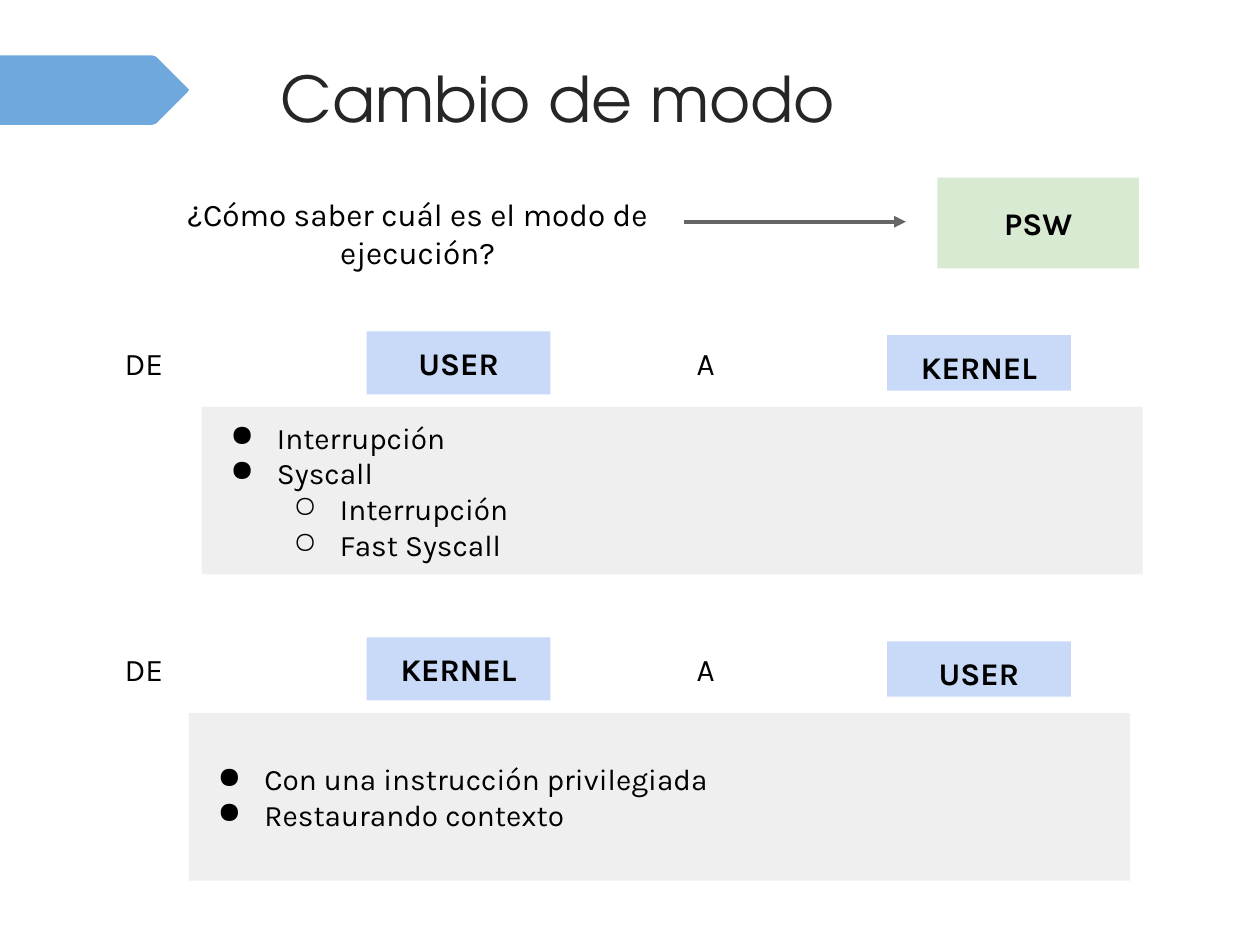
from lxml.etree import SubElement
from pptx import Presentation
from pptx.dml.color import RGBColor
from pptx.enum.shapes import MSO_CONNECTOR, MSO_SHAPE
from pptx.enum.text import MSO_ANCHOR, MSO_AUTO_SIZE, PP_ALIGN
from pptx.oxml.ns import qn
from pptx.util import Inches, Pt

TITLE = "Cambio de modo"
QUESTION = "¿Cómo saber cuál es el modo de ejecución?"
ANSWER = "PSW"
# Each switch: row top, source mode, target mode, panel left, (level, text) items
SWITCHES = [
    (2.63, "USER", "KERNEL", 1.6, [
        (0, "Interrupción"), (0, "Syscall"),
        (1, "Interrupción"), (1, "Fast Syscall")]),
    (5.06, "KERNEL", "USER", 1.5, [
        (0, "Con una instrucción privilegiada"),
        (0, "Restaurando contexto")]),
]
BULLETS = "●○"
BLUE, GREEN, GREY = "C9DAF8", "D9EAD3", "EFEFEF"
CELL_W, CELL_H = 1.46, 0.5
TAG_POINTS = [(0, 0.44), (1.21, 0.44), (1.24, 0.45), (1.49, 0.7), (1.5, 0.71),
              (1.49, 0.73), (1.24, 0.98), (1.21, 0.99), (0, 0.99)]


def rgb(color):
    return RGBColor.from_string(color)


def paint(sp, color):
    sp.shadow.inherit = False
    sp.fill.solid()
    sp.fill.fore_color.rgb = rgb(color)
    sp.line.fill.background()


def add_bullet(p, level):
    p.level = level
    pPr = p._p.get_or_add_pPr()
    pPr.set("marL", str(Inches(0.5 * (level + 1))))
    pPr.set("indent", str(Inches(-0.37)))
    color = SubElement(pPr, qn("a:buClr"))
    SubElement(color, qn("a:srgbClr")).set("val", "000000")
    SubElement(pPr, qn("a:buChar")).set("char", BULLETS[level])


def write(sp, items, size=18, font="Karla", color="000000", bold=False,
          align=PP_ALIGN.LEFT, anchor=MSO_ANCHOR.TOP, inset=0.1):
    """Fill a shape with a string, or with (level, text) bullet items."""
    tf = sp.text_frame
    tf.word_wrap = True
    tf.auto_size = MSO_AUTO_SIZE.NONE
    tf.vertical_anchor = anchor
    tf.margin_left = tf.margin_right = Inches(0.1)
    tf.margin_top = tf.margin_bottom = Inches(inset)
    if isinstance(items, str):
        items = [(None, items)]
    for i, (level, text) in enumerate(items):
        p = tf.add_paragraph() if i else tf.paragraphs[0]
        p.alignment = align
        if level is not None:
            add_bullet(p, level)
        r = p.add_run()
        r.text = text
        r.font.size, r.font.name, r.font.bold = Pt(size), font, bold
        r.font.color.rgb = rgb(color)


def add_label(s, text, x, y, w=CELL_W, h=CELL_H, **fmt):
    sp = s.shapes.add_textbox(Inches(x), Inches(y), Inches(w), Inches(h))
    write(sp, text, **fmt)


def add_box(s, items, fill, x, y, w=CELL_W, h=CELL_H, **fmt):
    sp = s.shapes.add_shape(MSO_SHAPE.RECTANGLE, Inches(x), Inches(y),
                            Inches(w), Inches(h))
    paint(sp, fill)
    write(sp, items, **fmt)


def add_tag(s):
    points = [(Inches(x), Inches(y)) for x, y in TAG_POINTS]
    builder = s.shapes.build_freeform(*points[0])
    builder.add_line_segments(points[1:])
    paint(builder.convert_to_shape(), "6FA8DC")


def add_arrow(s, x1, x2, y):
    line = s.shapes.add_connector(MSO_CONNECTOR.STRAIGHT, Inches(x1), Inches(y),
                                  Inches(x2), Inches(y))
    line.line.color.rgb = rgb("666666")
    line.line.width = Pt(2.25)
    SubElement(line.line._get_or_add_ln(), qn("a:tailEnd")).set("type", "triangle")
    SubElement(line._element.spPr, qn("a:effectLst"))


def main():
    prs = Presentation()
    prs.slide_width, prs.slide_height = Inches(10), Inches(7.5)
    s = prs.slides.add_slide(prs.slide_layouts[5])
    add_tag(s)

    title = s.shapes.title
    title.left, title.top = Inches(2.13), Inches(0.42)
    title.width, title.height = Inches(7.21), Inches(0.72)
    write(title, TITLE, size=36, font="TeX Gyre Adventor", color="262626",
          inset=0.05)

    bold = dict(bold=True, align=PP_ALIGN.CENTER)
    add_label(s, QUESTION, 0.96, 1.45, 4.71, 0.62, align=PP_ALIGN.CENTER)
    add_box(s, ANSWER, GREEN, 7.44, 1.41, 1.6, 0.72,
            anchor=MSO_ANCHOR.MIDDLE, **bold)
    add_arrow(s, 5.43, 7.19, 1.76)

    for y, source, target, panel_x, items in SWITCHES:
        add_label(s, "DE", 0.89, y)
        add_box(s, source, BLUE, 2.91, y, **bold)
        add_label(s, "A", 5.43, y)
        add_box(s, target, BLUE, 7.04, y + 0.03, h=0.44, **bold)
        add_box(s, items, GREY, panel_x, y + 0.6, 7.47, 1.33, size=17,
                anchor=MSO_ANCHOR.MIDDLE)

    prs.save("out.pptx")


if __name__ == "__main__":
    main()
